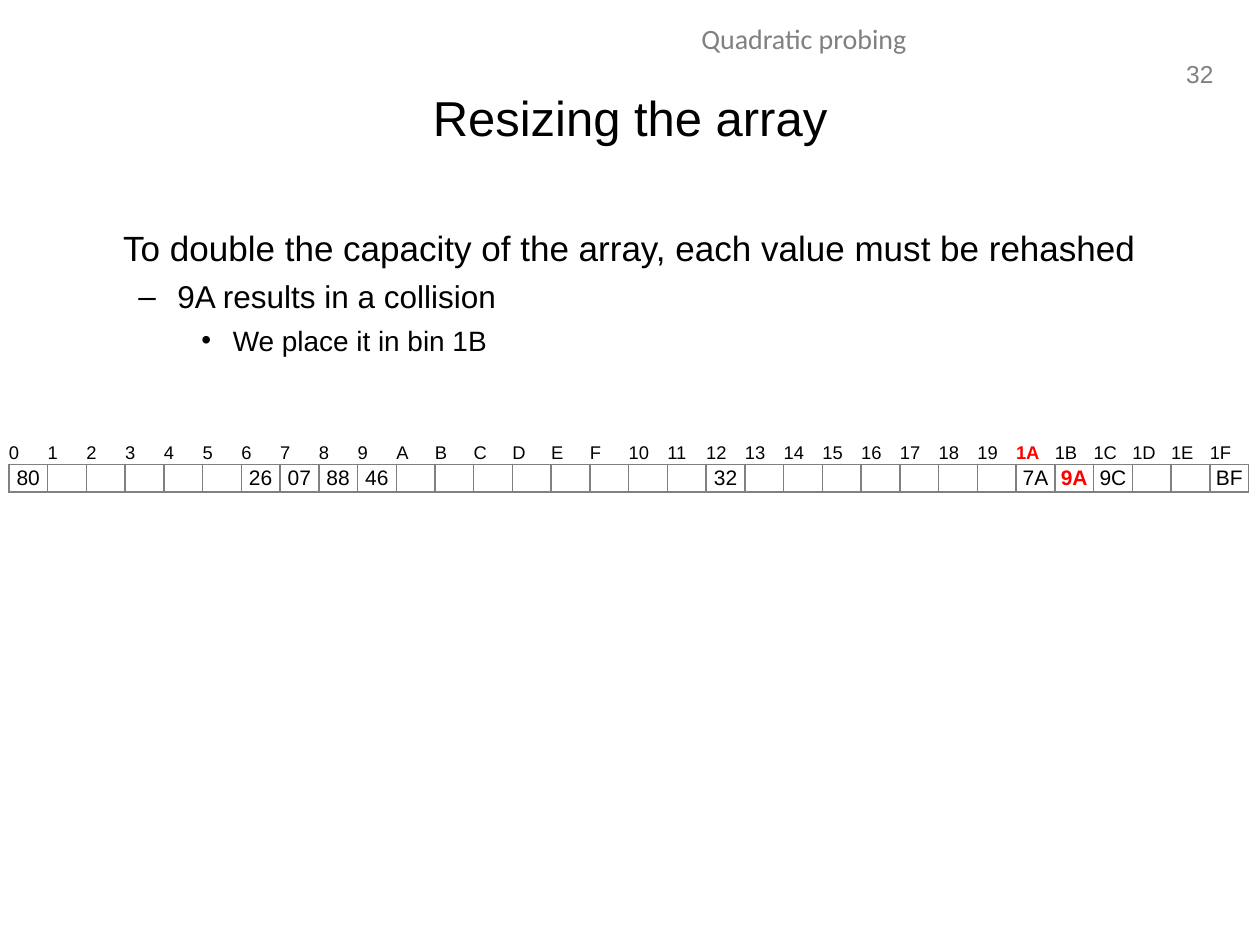
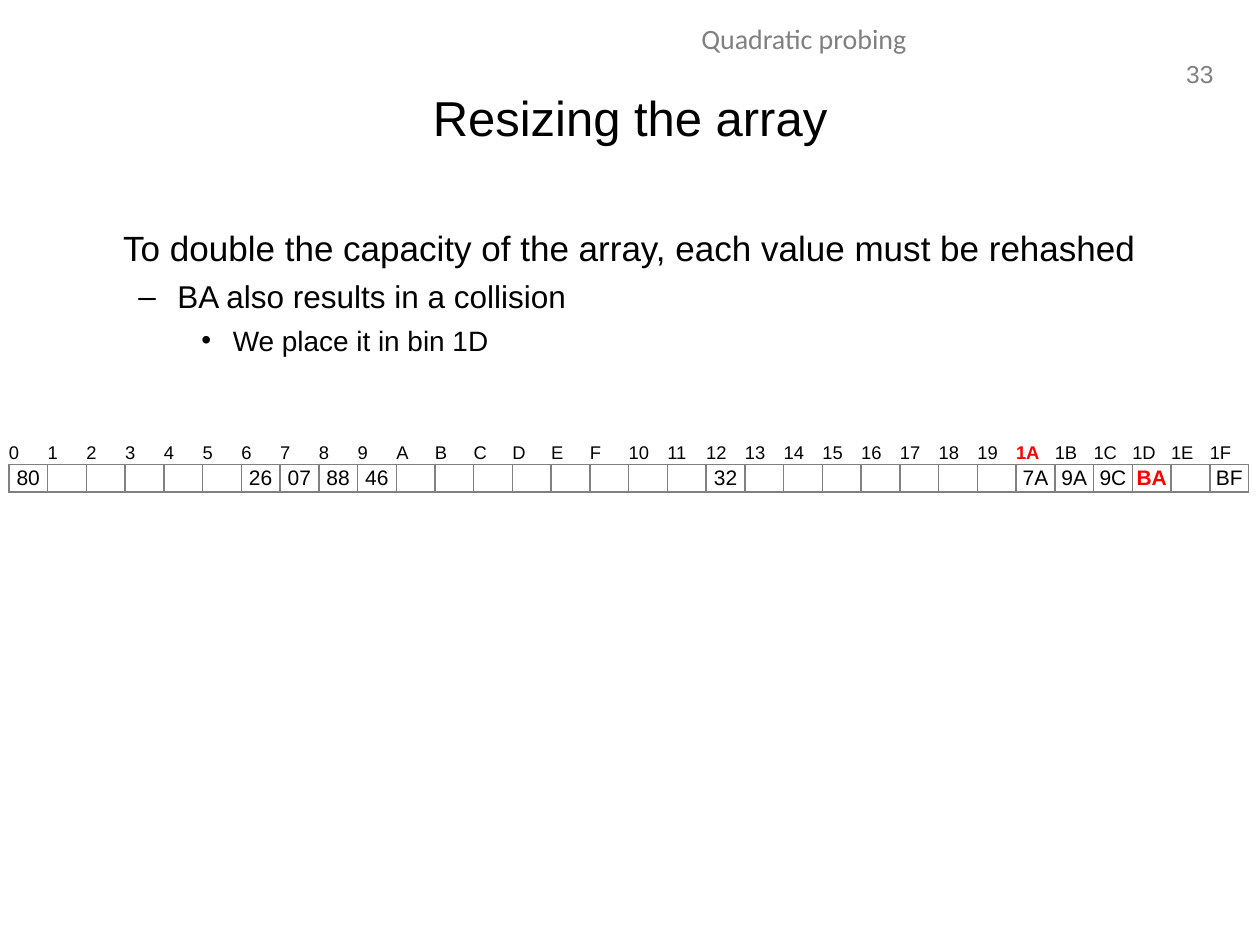
from dataclasses import dataclass

import lxml.etree as etree
import pptx
import pptx.dml.color
import pptx.enum.text
import pptx.oxml.ns
import pptx.util

Inches = pptx.util.Inches
Align = pptx.enum.text.PP_ALIGN
Anchor = pptx.enum.text.MSO_ANCHOR
qn = pptx.oxml.ns.qn


@dataclass(frozen=True)
class Theme:
    black: str = "000000"
    gray: str = "808080"
    red: str = "FF0000"
    sans: str = "Arial"
    head: str = "Calibri"
    title: float = 28
    topic: float = 16
    page: float = 14
    index: float = 10.5
    value: float = 12
    rule: float = 1


@dataclass(frozen=True)
class Level:
    size: float
    left: float
    hang: float
    bullet: str
    before: float


@dataclass(frozen=True)
class Step:
    page: int
    lines: tuple[str, ...]
    bins: dict[int, str]
    home: int
    moved: int


THEME = Theme()
LEVELS = (
    Level(20, 0.38, 0, "", 0),
    Level(18, 0.81, 0.31, "–", 5),
    Level(16, 1.25, 0.25, "•", 4.5),
)
COUNT = 32
PLAIN = "{2D5ABB26-0587-4C30-8999-92F81FD0307C}"  # table style without grid
LEAD = "To double the capacity of the array, each value must be rehashed"
FIRST = {
    0x0: "80", 0x6: "26", 0x7: "07", 0x8: "88", 0x9: "46", 0x12: "32",
    0x1A: "7A", 0x1B: "9A", 0x1C: "9C", 0x1F: "BF",
}
STEPS = (
    Step(32, (LEAD, "9A results in a collision", "We place it in bin 1B"),
         FIRST, 0x1A, 0x1B),
    Step(33, (LEAD, "BA also results in a collision", "We place it in bin 1D"),
         FIRST | {0x1D: "BA"}, 0x1A, 0x1D),
)


def style(para, size: float, color: str = THEME.black,
          face: str = THEME.sans, bold: bool = False) -> None:
    font = para.font
    font.size = pptx.util.Pt(size)
    font.name = face
    font.bold = bold
    font.color.rgb = pptx.dml.color.RGBColor.from_string(color)


def add_box(slide, left: float, top: float, width: float, height: float):
    """Add a text box and return its text frame."""
    box = slide.shapes.add_textbox(
        Inches(left), Inches(top), Inches(width), Inches(height))
    box.text_frame.word_wrap = True
    return box.text_frame


def add_frame(slide, page: int) -> None:
    """Add the page number, running topic and title."""
    frame = add_box(slide, 9.29, 0.42, 0.44, 0.33)
    frame.word_wrap = False
    para = frame.paragraphs[0]
    para.text = str(page)
    para.alignment = Align.RIGHT
    style(para, THEME.page, THEME.gray)

    para = add_box(slide, 3.19, 0.12, 6.38, 0.4).paragraphs[0]
    para.text = "Quadratic probing"
    para.alignment = Align.CENTER
    style(para, THEME.topic, THEME.gray, THEME.head)

    frame = add_box(slide, 0.5, 0.3, 9, 1.25)
    frame.vertical_anchor = Anchor.MIDDLE
    para = frame.paragraphs[0]
    para.text = "Resizing the array"
    para.alignment = Align.CENTER
    style(para, THEME.title)


def add_body(slide, lines: tuple[str, ...]) -> None:
    frame = add_box(slide, 0.5, 1.75, 9, 4.95)
    for rank, (line, level) in enumerate(zip(lines, LEVELS)):
        para = frame.add_paragraph() if rank else frame.paragraphs[0]
        para.text = line
        para.level = rank
        if level.before:
            para.space_before = pptx.util.Pt(level.before)
        props = para._p.get_or_add_pPr()
        props.set("marL", str(Inches(level.left)))
        props.set("indent", str(-Inches(level.hang)))
        if level.bullet:
            etree.SubElement(props, qn("a:buFont"), typeface=THEME.sans)
            etree.SubElement(props, qn("a:buChar"), char=level.bullet)
        else:
            etree.SubElement(props, qn("a:buNone"))
        style(para, level.size)


def add_edge(cell, sides: str) -> None:
    """Draw borders on the given sides, in the order L, R, T, B."""
    props = cell._tc.get_or_add_tcPr()
    for side in sides:
        line = etree.SubElement(props, qn(f"a:ln{side}"),
                                w=str(pptx.util.Pt(THEME.rule)))
        fill = etree.SubElement(line, qn("a:solidFill"))
        etree.SubElement(fill, qn("a:srgbClr"), val=THEME.gray)


def fill_cell(cell, text: str, size: float, align, sides: str,
              hot: bool) -> None:
    cell.margin_left = cell.margin_right = 0
    cell.margin_top = cell.margin_bottom = 0
    cell.vertical_anchor = Anchor.MIDDLE
    add_edge(cell, sides)
    cell.fill.background()
    para = cell.text_frame.paragraphs[0]
    para.alignment = align
    if text:
        para.text = text
        style(para, size, THEME.red if hot else THEME.black, bold=hot)
    else:
        # An empty cell takes its line height from the end mark.
        etree.SubElement(para._p, qn("a:endParaRPr"), sz=str(int(size * 100)))


def add_bins(slide, step: Step) -> None:
    width = Inches(9.85)
    table = slide.shapes.add_table(
        2, COUNT, Inches(0.07), Inches(3.51), width, Inches(0.38)).table
    table.first_row = table.horz_banding = False
    table._tbl.tblPr.find(qn("a:tableStyleId")).text = PLAIN
    for row, height in zip(table.rows, (0.16, 0.22)):
        row.height = Inches(height)
    for slot, column in enumerate(table.columns):
        column.width = width // COUNT
        fill_cell(table.cell(0, slot), f"{slot:X}", THEME.index,
                  Align.LEFT, "B", slot == step.home)
        fill_cell(table.cell(1, slot), step.bins.get(slot, ""), THEME.value,
                  Align.CENTER, "LRTB", slot == step.moved)


def main() -> None:
    deck = pptx.Presentation()
    deck.slide_width = Inches(10)
    deck.slide_height = Inches(7.5)
    for step in STEPS:
        slide = deck.slides.add_slide(deck.slide_layouts[6])
        add_frame(slide, step.page)
        add_body(slide, step.lines)
        add_bins(slide, step)
    deck.save("out.pptx")


if __name__ == "__main__":
    main()
